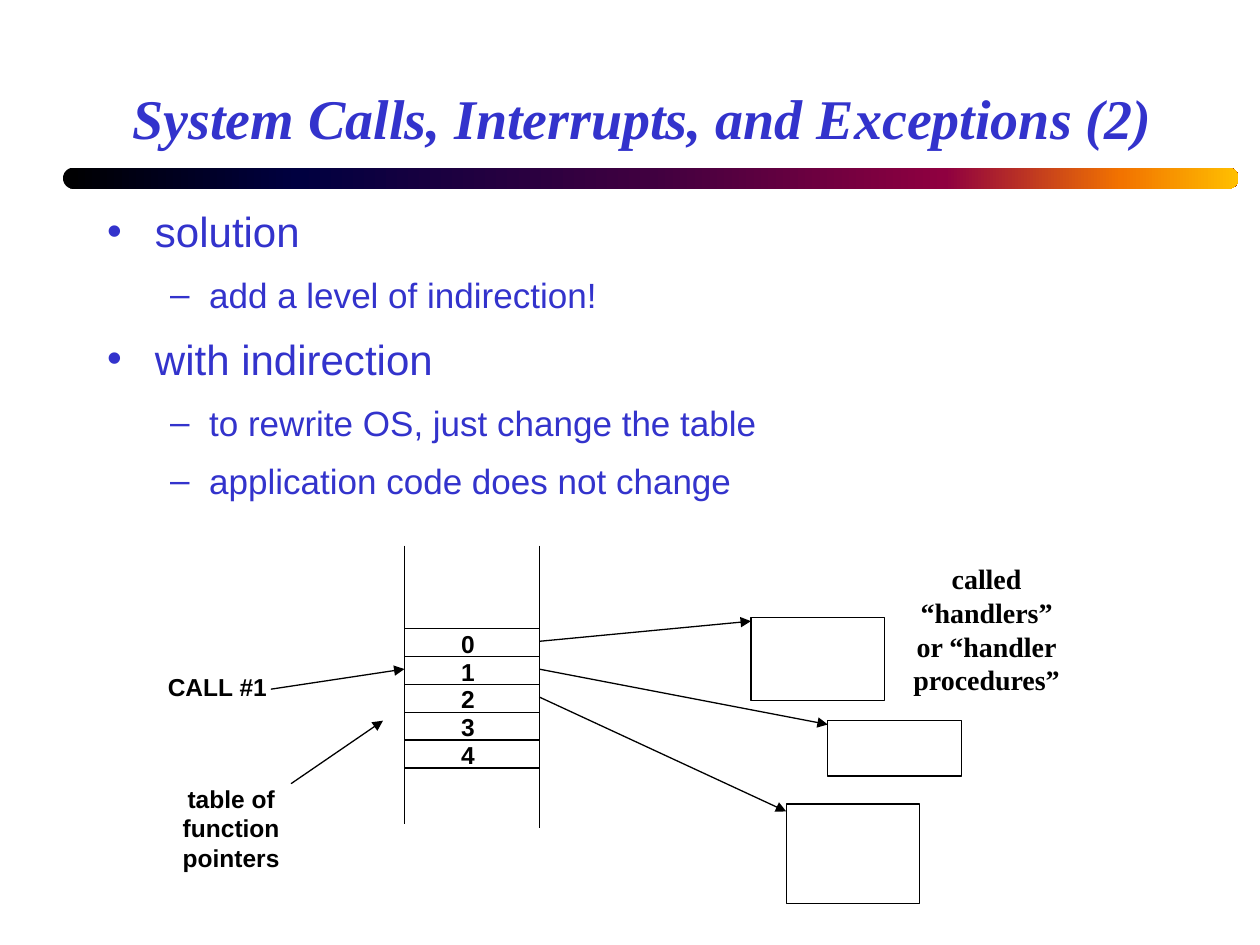
from lxml import etree
from pptx import Presentation, util as u
from pptx.dml import color as dml
from pptx.enum import shapes, text
from pptx.oxml import ns

WIDTH, HEIGHT = u.Inches(10), u.Inches(7.5)
COLUMNS, ROWS = 100, 75
COLORS = {"ink": "000000", "blue": "3333CC"}
BAR_STOPS = [(0, "000000"), (20, "000040"), (50, "400040"),
             (75, "8F0040"), (90, "F27300"), (100, "FFBF00")]
TITLE_FONT = {"name": "Times New Roman", "size": u.Pt(32), "bold": True, "italic": True}
LABEL_FONT = {"name": "Arial", "size": u.Pt(14), "bold": True}
NOTE_FONT = {"name": "Times New Roman", "size": u.Pt(16), "bold": True}
LEVELS = [
    {"mark": "•", "margin": 0.38, "hang": 0.38, "size": 24, "gap": 5.5},
    {"mark": "–", "margin": 0.81, "hang": 0.31, "size": 20, "gap": 4.6},
]
POINTS = [(0, "solution"), (1, "add a level of indirection!"), (0, "with indirection"),
          (1, "to rewrite OS, just change the table"), (1, "application code does not change")]
LEFT, RIGHT, TOP, STEP, SLOTS = 32.1, 42.8, 49.9, 2.21, 5
HANDLERS = [(59.6, 49, 6.6), (65.7, 57.2, 4.4), (62.4, 63.8, 7.9)]
ENTRIES = [49.3, 57.5, 64.4]


def x(columns):
    return round(WIDTH * columns / COLUMNS)


def y(rows):
    return round(HEIGHT * rows / ROWS)


def area(left, top, width, height):
    return x(left), y(top), x(width), y(height)


def apply(target, values):
    for name, value in values.items():
        setattr(target, name, value)


def rgb(name):
    return dml.RGBColor.from_string(COLORS[name])


def add_element(parent, tag, **attributes):
    return etree.SubElement(parent, ns.qn(tag), attributes)


def write(para, words, font, color):
    span = para.add_run()
    span.text = words
    apply(span.font, font)
    span.font.color.rgb = rgb(color)


def place(holder, *cells):
    apply(holder, dict(zip(("left", "top", "width", "height"), area(*cells))))
    holder.text_frame.auto_size = text.MSO_AUTO_SIZE.NONE


def add_title(page):
    title = page.shapes.title
    place(title, 7.5, 2.5, 85, 10)
    title.text_frame.vertical_anchor = text.MSO_ANCHOR.BOTTOM
    para = title.text_frame.paragraphs[0]
    para.alignment = text.PP_ALIGN.RIGHT
    write(para, "System Calls, Interrupts, and Exceptions (2)", TITLE_FONT, "blue")


def set_bullet(para, style):
    properties = para._p.get_or_add_pPr()
    properties.set("marL", str(u.Inches(style["margin"])))
    properties.set("indent", str(-u.Inches(style["hang"])))
    bullet_color = add_element(properties, "a:buClr")
    add_element(bullet_color, "a:srgbClr", val=COLORS["blue"])
    add_element(properties, "a:buFont", typeface="Arial")
    add_element(properties, "a:buChar", char=style["mark"])


def add_points(page):
    body = page.placeholders[1]
    place(body, 7.5, 15.8, 85, 25)
    frame = body.text_frame
    for index, (level, words) in enumerate(POINTS):
        para = frame.add_paragraph() if index else frame.paragraphs[0]
        style = LEVELS[level]
        gap = u.Pt(style["gap"])
        apply(para, {"level": level, "space_before": gap, "space_after": gap})
        set_bullet(para, style)
        write(para, words, {"name": "Arial", "size": u.Pt(style["size"])}, "blue")


def add_bar(page):
    bar = page.shapes.add_shape(shapes.MSO_SHAPE.ROUNDED_RECTANGLE, *area(5, 13.3, 93.3, 1.7))
    bar.adjustments[0] = 0.5
    bar.shadow.inherit = False
    bar.line.fill.background()
    bar.fill.gradient()
    bar.fill.gradient_angle = 0
    stops = bar._element.spPr.find(ns.qn("a:gradFill")).find(ns.qn("a:gsLst"))
    for stop in list(stops):
        stops.remove(stop)
    for share, value in BAR_STOPS:
        stop = add_element(stops, "a:gs", pos=str(share * 1000))
        add_element(stop, "a:srgbClr", val=value)


def add_line(diagram, start, end, arrow=False):
    line = diagram.shapes.add_connector(
        shapes.MSO_CONNECTOR.STRAIGHT, x(start[0]), y(start[1]), x(end[0]), y(end[1]))
    line.line.color.rgb = rgb("ink")
    line.line.width = u.Pt(0.75)
    if arrow:
        add_element(line.line._get_or_add_ln(), "a:tailEnd", type="triangle")
    add_element(line._element.spPr, "a:effectLst")


def add_label(diagram, cells, lines, font=LABEL_FONT):
    box = diagram.shapes.add_textbox(*area(*cells))
    frame = box.text_frame
    apply(frame, {"margin_left": 0, "margin_top": 0, "margin_right": 0, "margin_bottom": 0,
                  "word_wrap": False, "auto_size": text.MSO_AUTO_SIZE.SHAPE_TO_FIT_TEXT})
    for index, words in enumerate(lines):
        para = frame.add_paragraph() if index else frame.paragraphs[0]
        para.alignment = text.PP_ALIGN.CENTER
        write(para, words, font, "ink")


def add_handler(diagram, left, top, height):
    box = diagram.shapes.add_shape(
        shapes.MSO_SHAPE.RECTANGLE, *area(left, top, RIGHT - LEFT - 0.1, height))
    box.shadow.inherit = False
    box.fill.background()
    box.line.color.rgb = rgb("ink")
    box.line.width = u.Pt(0.75)


def add_pointer_table(diagram):
    for side, bottom in ((LEFT, 65.4), (RIGHT, 65.7)):
        add_line(diagram, (side, 43.3), (side, bottom))
    for row in range(SLOTS + 1):
        level = TOP + row * STEP
        add_line(diagram, (LEFT, level), (RIGHT, level))
        if row < SLOTS:
            add_label(diagram, (36.6, level, 1.1, 2.4), [str(row)])


def add_diagram(page):
    diagram = page.shapes.add_group_shape()
    add_pointer_table(diagram)
    for row, (handler, entry) in enumerate(zip(HANDLERS, ENTRIES)):
        add_handler(diagram, *handler)
        add_line(diagram, (RIGHT, TOP + 1 + row * STEP), (handler[0], entry), arrow=True)
    add_line(diagram, (21.5, 54.7), (LEFT, 53.1), arrow=True)
    add_line(diagram, (23.1, 62.2), (30.4, 57.2), arrow=True)
    add_label(diagram, (13.3, 53.3, 7.9, 2.4), ["CALL #1"])
    add_label(diagram, (14.5, 62.2, 7.7, 7.1), ["table of", "function", "pointers"])
    add_label(diagram, (72.4, 44.6, 11.8, 10.8),
              ["called", "“handlers”", "or “handler", "procedures”"], NOTE_FONT)


def main():
    deck = Presentation()
    apply(deck, {"slide_width": WIDTH, "slide_height": HEIGHT})
    page = deck.slides.add_slide(deck.slide_layouts[1])
    add_bar(page)
    add_title(page)
    add_points(page)
    add_diagram(page)
    deck.save("out.pptx")


main()
